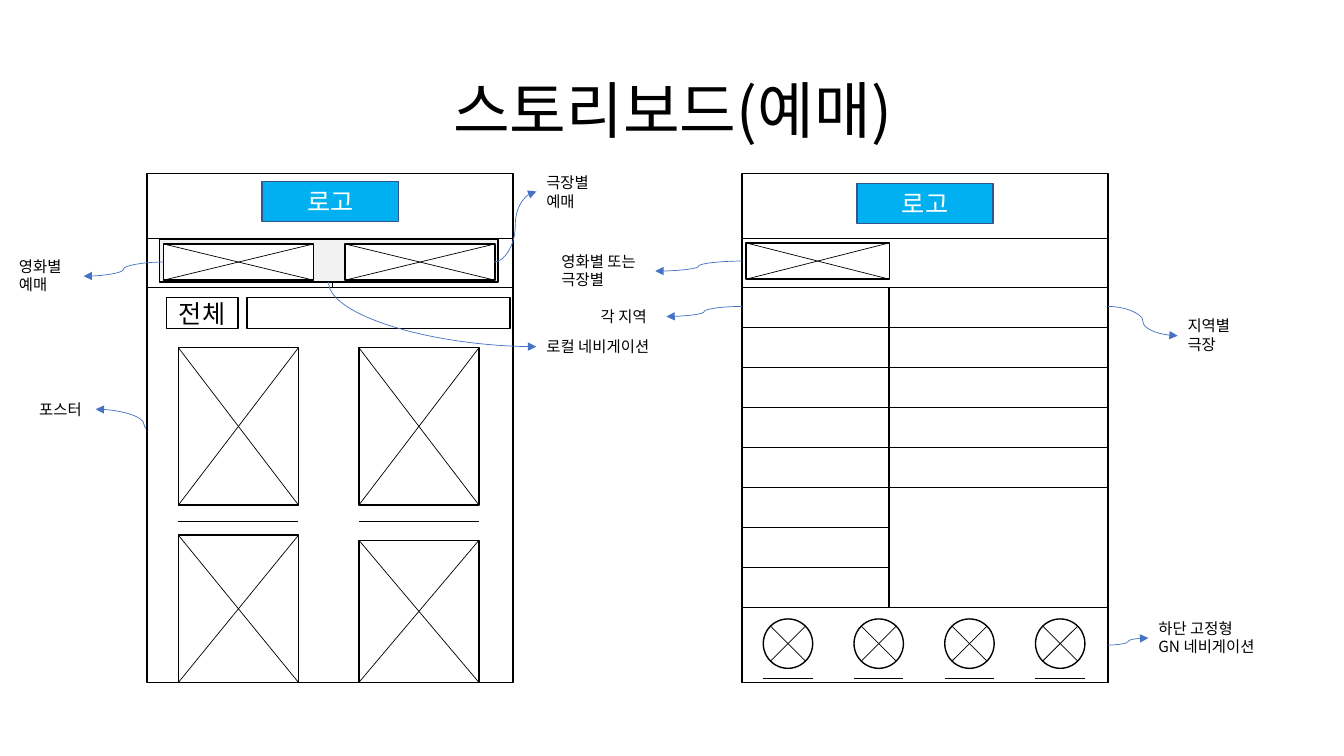
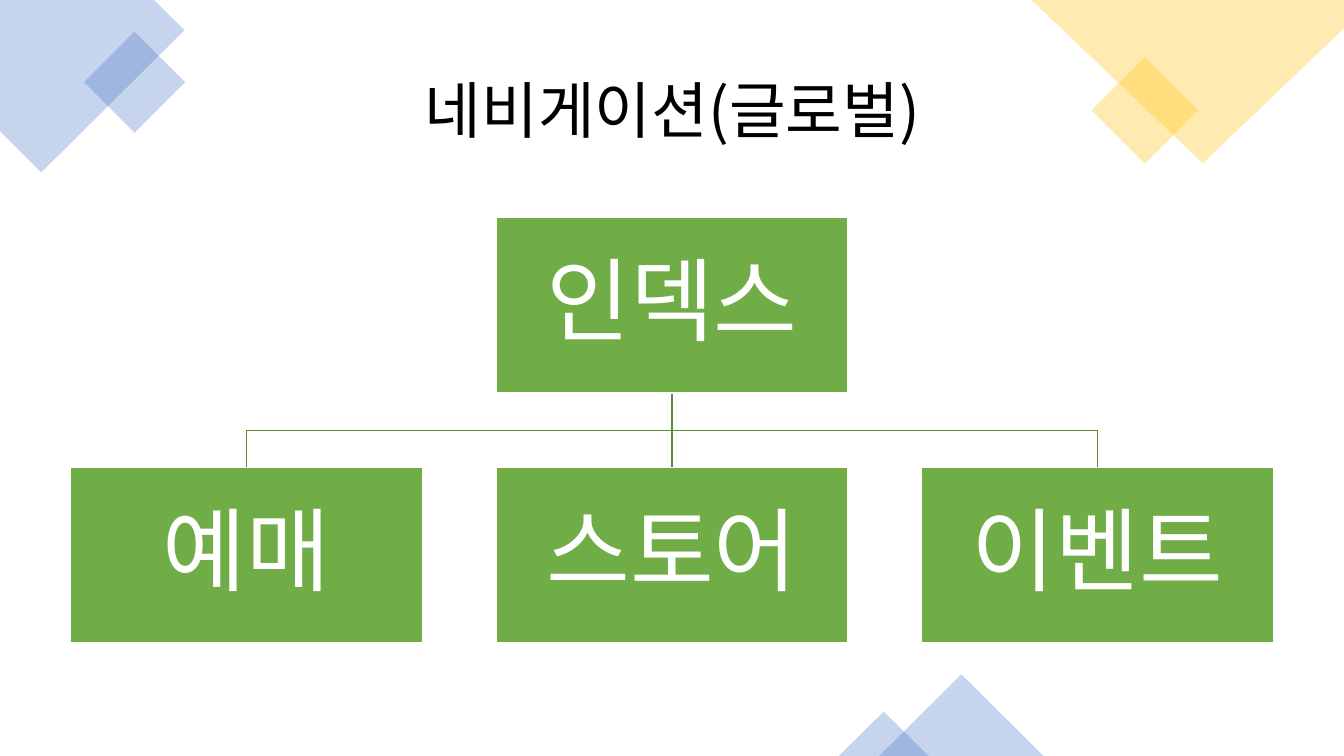
from lxml import etree
from pptx import Presentation
from pptx.dml.color import RGBColor
from pptx.enum.shapes import MSO_CONNECTOR, MSO_SHAPE
from pptx.enum.text import MSO_ANCHOR, MSO_AUTO_SIZE, PP_ALIGN
from pptx.oxml.ns import qn
from pptx.util import Inches, Pt

RECT, OVAL, TRIANGLE = MSO_SHAPE.RECTANGLE, MSO_SHAPE.OVAL, MSO_SHAPE.ISOSCELES_TRIANGLE
STRAIGHT, CURVE = MSO_CONNECTOR.STRAIGHT, MSO_CONNECTOR.CURVE
LEFT, CENTER = PP_ALIGN.LEFT, PP_ALIGN.CENTER
TOP, MIDDLE = MSO_ANCHOR.TOP, MSO_ANCHOR.MIDDLE
NO_AUTOFIT = MSO_AUTO_SIZE.NONE

FONT = "Noto Sans CJK KR"
BLACK, WHITE, GRAY = "000000", "FFFFFF", "F2F2F2"
BLUE, YELLOW, GREEN, DARK_GREEN = "4472C4", "FFC000", "70AD47", "5A8B39"
LOGO_BLUE, LOGO_EDGE = "00B0F0", "325491"

# The grid has one-inch columns and rows
COLUMNS, ROWS = 13.33, 7.5
PHONE_TOP, PHONE_WIDTH, PHONE_HEIGHT = 1.72, 3.63, 5.05
PHONE_BOTTOM = PHONE_TOP + PHONE_HEIGHT
HEADER_LINE, TAB_LINE = 2.36, 2.85


def color(value):
    return RGBColor.from_string(value)


def grid(*values):
    return [Inches(value) for value in values]


# Text
def write(frame, text, size=18, ink=BLACK, align=LEFT, anchor=TOP, wrap=True,
          inset=None, spacing=None):
    frame.auto_size = NO_AUTOFIT
    frame.word_wrap = wrap
    frame.vertical_anchor = anchor
    if inset is not None:
        frame.margin_left = frame.margin_right = Inches(inset)
        frame.margin_top = frame.margin_bottom = Inches(inset)
    for index, line in enumerate(text.split("\n")):
        para = frame.add_paragraph() if index else frame.paragraphs[0]
        para.alignment = align
        if spacing:
            para.line_spacing = spacing
        span = para.add_run()
        span.text = line
        span.font.name, span.font.size = FONT, Pt(size)
        span.font.color.rgb = color(ink)
        east_asian = etree.SubElement(span.font._element, qn("a:ea"))
        east_asian.set("typeface", FONT)


def add_page(deck, title):
    page = deck.slides.add_slide(deck.slide_layouts[5])
    box = page.shapes.title
    box.left, box.top, box.width, box.height = grid(0.92, 0.4, 11.5, 1.45)
    write(box.text_frame, title, size=44, align=CENTER, anchor=MIDDLE, spacing=0.9)
    return page


def add_label(page, text, x, y, width, height, **style):
    box = page.shapes.add_textbox(*grid(x, y, width, height))
    write(box.text_frame, text, size=11, **style)


# Shapes and lines
def paint(shape, fill, edge=None, alpha=None):
    shape.shadow.inherit = False
    shape.fill.solid()
    shape.fill.fore_color.rgb = color(fill)
    if alpha:
        tint = shape._element.spPr.find(".//" + qn("a:srgbClr"))
        etree.SubElement(tint, qn("a:alpha")).set("val", str(alpha * 1000))
    if edge:
        shape.line.color.rgb = color(edge)
        shape.line.width = Pt(1)
    else:
        shape.line.fill.background()


def add_box(page, x, y, width, height, kind=RECT, fill=WHITE, edge=BLACK,
            alpha=None, turn=0, text=None, **style):
    box = page.shapes.add_shape(kind, *grid(x, y, width, height))
    paint(box, fill, edge, alpha)
    box.rotation = turn
    if text:
        write(box.text_frame, text, align=CENTER, anchor=MIDDLE, **style)


def add_polygon(page, points, fill, alpha):
    corners = [grid(*point) for point in points]
    builder = page.shapes.build_freeform(*corners[0])
    builder.add_line_segments(corners[1:], close=True)
    paint(builder.convert_to_shape(), fill, alpha=alpha)


def add_line(page, x1, y1, x2, y2, kind=STRAIGHT, ink=BLACK, width=0.5,
             arrow=None, preset=None):
    line = page.shapes.add_connector(kind, *grid(x1, y1, x2, y2))
    line.line.color.rgb = color(ink)
    line.line.width = Pt(width)
    properties = line._element.spPr
    if arrow:
        etree.SubElement(properties.find(qn("a:ln")), qn(arrow)).set("type", "triangle")
    if preset:
        properties.find(qn("a:prstGeom")).set("prst", preset)
    etree.SubElement(properties, qn("a:effectLst"))


def add_pointer(page, x1, y1, x2, y2):
    add_line(page, x1, y1, x2, y2, kind=CURVE, ink=BLUE, arrow="a:tailEnd")


# Wireframe parts
def add_crossed(page, x, y, width, height, kind=RECT, inset=0):
    add_box(page, x, y, width, height, kind=kind)
    left, right = x + inset, x + width - inset
    top, bottom = y + inset, y + height - inset
    add_line(page, left, top, right, bottom)
    add_line(page, right, top, left, bottom)


def add_phone(page, x, logo_top):
    add_box(page, x, PHONE_TOP, PHONE_WIDTH, PHONE_HEIGHT)
    add_box(page, x + 1.14, logo_top, 1.35, 0.4, fill=LOGO_BLUE, edge=LOGO_EDGE,
            text="로고", ink=WHITE)
    for y in (HEADER_LINE, TAB_LINE):
        add_line(page, x, y, x + PHONE_WIDTH, y)


def add_movie_phone(page, x):
    add_phone(page, x, 1.8)
    # Search row
    add_box(page, x + 0.19, 2.95, 0.71, 0.31, text="전체", inset=0)
    add_box(page, x + 0.99, 2.95, 2.61, 0.31)
    # Posters with caption lines
    for left, second_top in ((x + 0.31, 5.31), (x + 2.1, 5.36)):
        add_crossed(page, left, 3.45, 1.19, 1.56)
        add_line(page, left, 5.17, left + 1.19, 5.17)
        add_crossed(page, left, second_top, 1.19, PHONE_BOTTOM - second_top)
    # Tabs
    add_line(page, x + 1.84, HEADER_LINE, x + 1.84, TAB_LINE)
    add_box(page, x + 0.12, 2.37, 3.36, 0.43, fill=GRAY)
    for left in (x + 0.16, x + 1.96):
        add_crossed(page, left, 2.42, 1.49, 0.36)


def add_theater_phone(page, x):
    add_phone(page, x, 1.82)
    add_crossed(page, x + 0.04, 2.41, 1.42, 0.36)
    # Region and theater lists
    footer_top, split = 6.03, 1.46
    row = (footer_top - TAB_LINE) / 8
    for left, width, count in ((x, split, 8), (x + split, PHONE_WIDTH - split, 5)):
        for index in range(count):
            add_box(page, left, TAB_LINE + index * row, width, row)
    # Fixed bottom navigation
    add_box(page, x, footer_top, PHONE_WIDTH, PHONE_BOTTOM - footer_top)
    for index in range(4):
        left = x + 0.21 + index * 0.9
        add_crossed(page, left, 6.14, 0.49, 0.49, kind=OVAL, inset=0.07)
        add_line(page, left, 6.73, left + 0.49, 6.73)


def build_storyboard(deck):
    page = add_page(deck, "스토리보드(예매)")
    add_pointer(page, 1.91, 4.37, 0.95, 4.06)
    add_movie_phone(page, 1.46)
    add_theater_phone(page, 7.36)

    # Pointers to the labels
    for ends in ((7.36, 3.04, 6.61, 3.14), (10.99, 3.04, 11.68, 3.33),
                 (7.36, 2.59, 6.5, 2.69), (10.99, 6.4, 11.39, 6.33),
                 (4.9, 2.6, 5.32, 1.9), (1.62, 2.6, 0.83, 2.74)):
        add_pointer(page, *ends)
    add_line(page, 5.32, 3.44, 3.26, 2.8, kind=CURVE, ink=BLUE,
             arrow="a:headEnd", preset="curvedConnector2")

    # Labels
    for text, x, y, width, height in (
            ("각 지역", 5.86, 3, 0.74, 0.29),
            ("지역별 극장", 11.68, 3.09, 0.74, 0.47),
            ("영화별\n예매", 0.09, 2.5, 0.74, 0.47),
            ("극장별\n예매", 5.32, 1.67, 0.74, 0.47),
            ("영화별 또는 극장별", 5.47, 2.45, 1.03, 0.47),
            ("로컬 네비게이션", 5.32, 3.3, 1.35, 0.29)):
        add_label(page, text, x, y, width, height)
    add_label(page, "포스터", 0.29, 3.92, 0.66, 0.29, wrap=False)
    add_label(page, "하단 고정형\nGN 네비게이션", 11.39, 6.09, 1.24, 0.47, wrap=False)


# Navigation slide
def add_corners(page):
    add_polygon(page, [(0, 0), (1.53, 0), (1.83, 0.3), (0.41, 1.71), (0, 1.3)], BLUE, 30)
    for x, y, side, fill in ((0.98, 0.46, 0.71, BLUE), (10.98, 0.72, 0.75, YELLOW)):
        add_box(page, x, y, side, side, fill=fill, edge=None, alpha=30, turn=315)
    add_polygon(page, [(10.23, 0), (COLUMNS, 0), (COLUMNS, 0.28), (11.93, 1.62)], YELLOW, 30)
    for x, width, height in ((8.72, 1.63, 0.81), (8.32, 0.89, 0.44)):
        add_box(page, x, ROWS - height, width, height, kind=TRIANGLE, fill=BLUE,
                edge=None, alpha=30)


def build_navigation(deck):
    page = add_page(deck, "네비게이션(글로벌)")
    add_corners(page)
    width, height, step = 3.49, 1.74, 4.22
    root_top, rail, child_top = 2.16, 4.27, 4.64
    lefts = [0.7 + index * step for index in range(3)]
    centers = [left + width / 2 for left in lefts]

    # Tree lines
    branches = [(centers[1], root_top + height, centers[1], rail),
                (centers[0], rail, centers[2], rail)]
    branches += [(center, rail, center, child_top) for center in centers]
    for ends in branches:
        add_line(page, *ends, ink=DARK_GREEN, width=1)

    # Tree boxes
    nodes = [("인덱스", lefts[1], root_top)]
    nodes += [(name, left, child_top) for name, left in zip(("예매", "스토어", "이벤트"), lefts)]
    for name, left, top in nodes:
        add_box(page, left, top, width, height, fill=GREEN, edge=WHITE, text=name,
                size=65, ink=WHITE, inset=0.05, spacing=0.9)


def main():
    deck = Presentation()
    deck.slide_width, deck.slide_height = grid(COLUMNS, ROWS)
    build_storyboard(deck)
    build_navigation(deck)
    deck.save("out.pptx")


if __name__ == "__main__":
    main()
